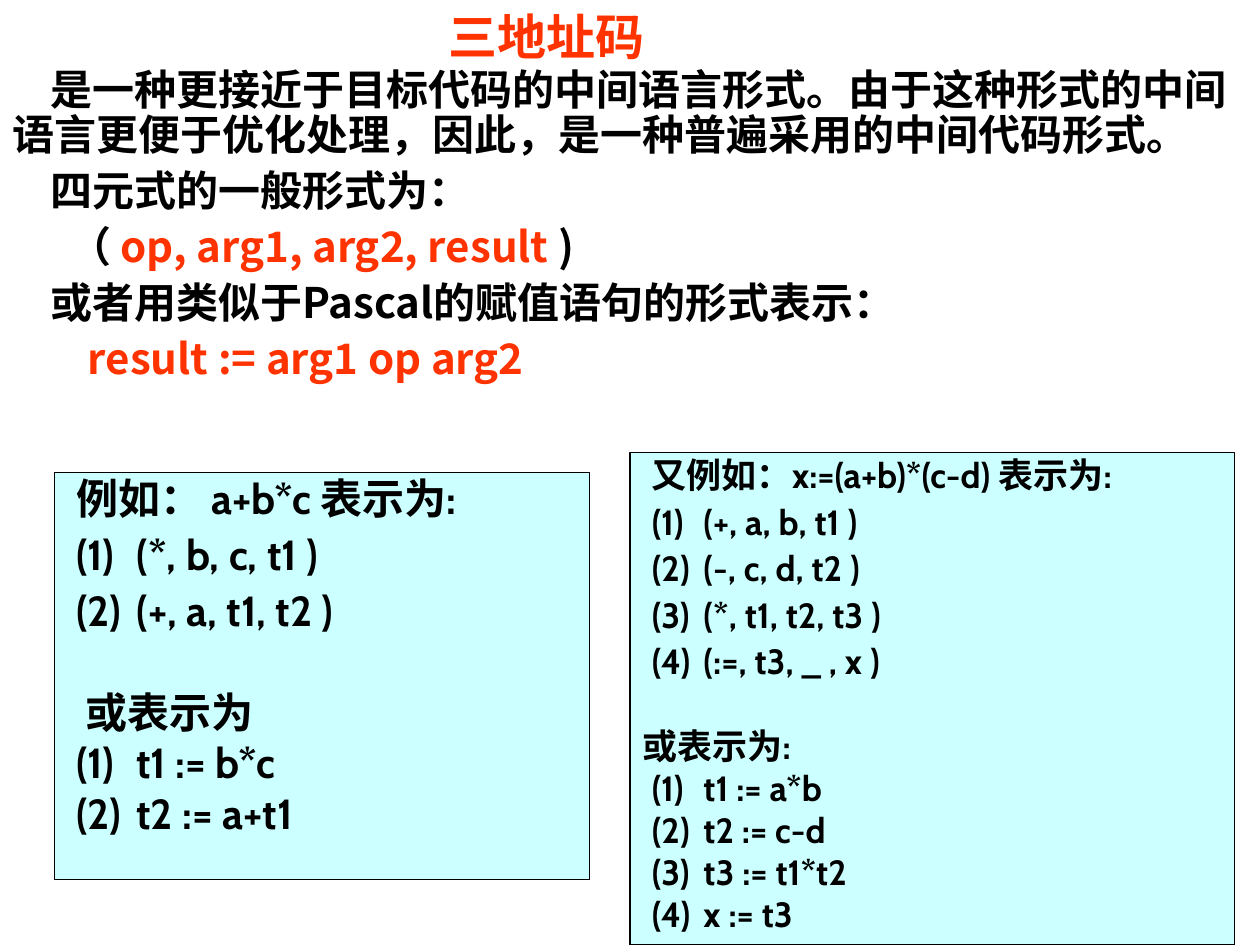
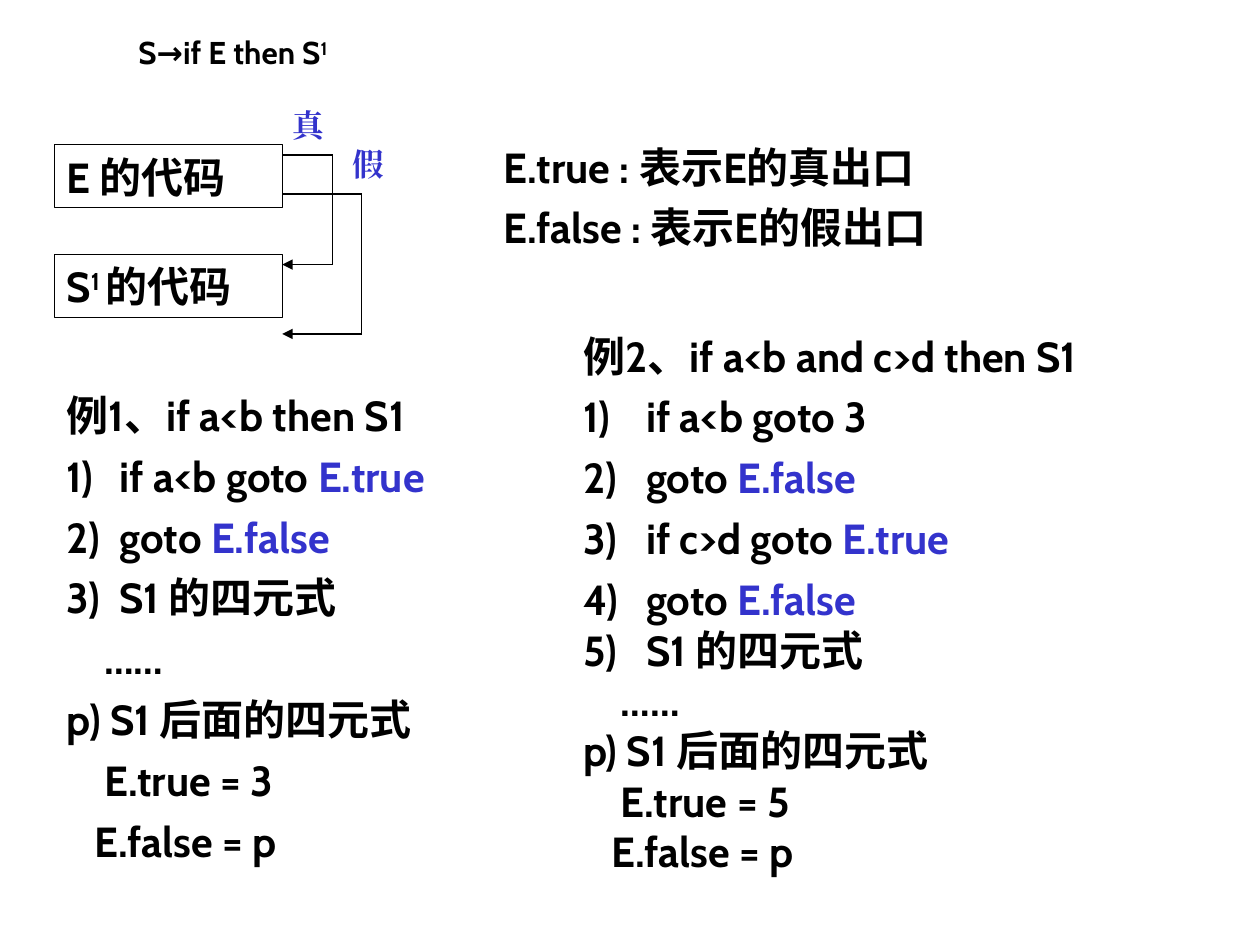
import dataclasses

import pptx
import pptx.dml.color
import pptx.enum.shapes
import pptx.enum.text
import pptx.oxml.ns
import pptx.util
from lxml import etree
from pptx.util import Inches, Pt

ALIGN = pptx.enum.text.PP_ALIGN
ANCHOR = pptx.enum.text.MSO_ANCHOR
SHAPES = pptx.enum.shapes.MSO_SHAPE
qn = pptx.oxml.ns.qn


@dataclasses.dataclass(frozen=True)
class Theme:
    ink: str = "000000"
    red: str = "FF3300"
    blue: str = "3333CC"
    panel: str = "CCFFFF"
    latin: str = "Cabin"
    chinese: str = "Noto Sans CJK SC"
    label_face: str = "Times New Roman"
    title: int = 28
    body: int = 24
    small: int = 20
    label: int = 18
    line: float = 0.75
    space: float = 0.075  # indent step in inches


THEME = Theme()


@dataclasses.dataclass
class Line:
    """One paragraph; spans are plain strings or (text, format) pairs."""
    spans: list
    left: float = 0
    first: float = 0
    before: float = 0
    spacing: float = 1.0
    number: int = 0
    align: object = ALIGN.LEFT


def color(value):
    return pptx.dml.color.RGBColor.from_string(value)


def write(para, text, *, face=THEME.latin, size=THEME.body, ink=THEME.ink, raised=False):
    """Add one bold span of text to a paragraph."""
    span = para.add_run()
    span.text = text
    span.font.name, span.font.size, span.font.bold = face, Pt(size), True
    span.font.color.rgb = color(ink)
    props = span._r.get_or_add_rPr()
    etree.SubElement(props, qn("a:ea")).set("typeface", face)
    if raised:
        props.set("baseline", "30000")


class Page:
    def __init__(self, deck, theme):
        self.theme = theme
        self.slide = deck.slides.add_slide(deck.slide_layouts[6])

    def fill_frame(self, frame, lines, inset=(0.1, 0.05), anchor=ANCHOR.TOP, wrap=True, **style):
        frame.word_wrap = wrap
        frame.vertical_anchor = anchor
        frame.margin_left = frame.margin_right = Inches(inset[0])
        frame.margin_top = frame.margin_bottom = Inches(inset[1])
        for index, line in enumerate(lines):
            para = frame.add_paragraph() if index else frame.paragraphs[0]
            para.alignment = line.align
            para.line_spacing = line.spacing
            para.space_before = Pt(line.before if index else 0)
            props = para._p.get_or_add_pPr()
            props.set("marL", str(Inches(line.left)))
            props.set("indent", str(Inches(line.first)))
            if line.number:
                bullet = etree.SubElement(props, qn("a:buAutoNum"))
                bullet.set("type", "arabicParenR")
                bullet.set("startAt", str(line.number))
            for span in line.spans:
                text, extra = (span, {}) if isinstance(span, str) else span
                write(para, text, **{**style, **extra})

    def text(self, place, lines, **style):
        box = self.slide.shapes.add_textbox(*map(Inches, place))
        self.fill_frame(box.text_frame, lines, **style)

    def panel(self, place, lines, fill=None, **style):
        box = self.slide.shapes.add_shape(SHAPES.RECTANGLE, *map(Inches, place))
        box.shadow.inherit = False
        if fill:
            box.fill.solid()
            box.fill.fore_color.rgb = color(fill)
        else:
            box.fill.background()
        box.line.color.rgb = color(self.theme.ink)
        box.line.width = Pt(self.theme.line)
        self.fill_frame(box.text_frame, lines, **style)

    def route(self, points):
        """Join the points with lines; the last one ends in an arrowhead."""
        for start, end in zip(points, points[1:]):
            link = self.slide.shapes.add_connector(
                pptx.enum.shapes.MSO_CONNECTOR.STRAIGHT, *map(Inches, start + end))
            link.line.color.rgb = color(self.theme.ink)
            link.line.width = Pt(self.theme.line)
            props = link._element.spPr
            if end == points[-1]:
                etree.SubElement(props.find(qn("a:ln")), qn("a:tailEnd")).set("type", "triangle")
            etree.SubElement(props, qn("a:effectLst"))


def example_lines(heading, quads, second_heading, second_left, codes, before, gap, hang):
    """Quadruples first, then the same steps as assignments."""
    step = THEME.space

    def numbered(items, **layout):
        return [Line([f"({n})\t{item}"], step + hang, -hang, **layout)
                for n, item in enumerate(items, 1)]

    return [Line([heading], step, spacing=0.9),
            *numbered(quads, before=before, spacing=0.9),
            Line([second_heading], second_left, before=gap),
            *numbered(codes)]


def build_address_code(deck):
    page, step = Page(deck, THEME), THEME.space
    red = {"ink": THEME.red}

    # Title and definition
    page.text((0, 0, 8.67, 0.5), [Line(["三地址码"], align=ALIGN.CENTER)],
              face=THEME.chinese, size=THEME.title, ink=THEME.red)
    definition = [
        (4, ["是一种更接近于目标代码的中间语言形式。由于这种形式的中间语言更便于优化处理，"
             "因此，是一种普遍采用的中间代码形式。"]),
        (4, ["四元式的一般形式为："]),
        (6, ["（ ", ("op, arg1, arg2, result", red), " )"]),
        (4, ["或者用类似于Pascal的赋值语句的形式表示："]),
        (8, [("result := arg1 op arg2", red)]),
    ]
    page.text((0, 0.5, 10, 3),
              [Line(spans, first=steps * step, before=6, spacing=0.9)
               for steps, spans in definition],
              face=THEME.chinese)

    # Worked examples
    page.panel((0.43, 3.75, 4.25, 3.23), example_lines(
        "例如： a+b*c 表示为:", ["(*, b, c, t1 )", "(+, a, t1, t2 )"],
        "或表示为", 2 * step, ["t1 := b*c", "t2 := a+t1"],
        before=6, gap=29, hang=0.48), fill=THEME.panel)
    page.panel((5, 3.59, 4.8, 3.91), example_lines(
        "又例如：x:=(a+b)*(c-d) 表示为:",
        ["(+, a, b, t1 )", "(-, c, d, t2 )", "(*, t1, t2, t3 )", "(:=, t3, _ , x )"],
        "或表示为:", 0, ["t1 := a*b", "t2 := c-d", "t3 := t1*t2", "x := t3"],
        before=5, gap=24, hang=0.41), fill=THEME.panel, size=THEME.small)


def build_if_statement(deck):
    page, step = Page(deck, THEME), THEME.space
    blue = {"ink": THEME.blue}
    chinese = {"face": THEME.chinese}
    raised = {"raised": True}
    goto_true, goto_false = ("E.true", blue), ("E.false", blue)

    # Grammar rule
    page.text((0, 0.25, 6.89, 0.47),
              [Line(["S→if E then S", ("1", raised)], left=1, spacing=0.9)], size=THEME.label)

    # Code blocks and jumps
    blocks = [(1.15, ["E ", ("的代码", chinese)]),
              (2.02, ["S", ("1 ", raised), ("的代码", chinese)])]
    for top, spans in blocks:
        page.panel((0.43, top, 1.81, 0.5), [Line(spans)], anchor=ANCHOR.MIDDLE)
    edge = 2.24
    for turn, start, end in [(2.64, 1.23, 2.1), (2.87, 1.54, 2.65)]:
        page.route([(edge, start), (turn, start), (turn, end), (edge, end)])
    for label, left, top in [("真", 2.32, 0.84), ("假", 2.8, 1.15)]:
        page.text((left, top, 0.25, 0.3), [Line([label])], inset=(0, 0), wrap=False,
                  face=THEME.label_face, size=THEME.label, ink=THEME.blue)

    # Meaning of the exits
    page.text((3.9, 1.07, 4.1, 0.99),
              [Line(["E.true : 表示E的真出口"]), Line(["E.false : 表示E的假出口"], before=6)])

    # Examples: heading, numbered code, closing lines
    def example(place, heading, codes, true_exit, hang, spaced):
        lines = [Line([heading])]
        lines += [Line(spans, hang, -hang, number=n) for n, spans in enumerate(codes, 1)]
        lines += [Line([text], left=steps * step) for steps, text in [
            (4, "……"), (0, "p) S1 后面的四元式"),
            (4, f"E.true = {true_exit}"), (3, "E.false = p")]]
        for line in lines[:spaced]:
            line.before = 6
        page.text(place, lines)

    example((0.43, 3.04, 4.17, 4.37), "例1、if a<b then S1",
            [["if a<b goto ", goto_true], ["goto ", goto_false], ["S1 的四元式"]],
            true_exit=3, hang=0.42, spaced=8)
    example((4.53, 2.57, 5.2, 4.92), "例2、if a<b and c>d then S1",
            [["if a<b goto 3"], ["goto ", goto_false], ["if c>d goto ", goto_true],
             ["goto ", goto_false], ["S1 的四元式"]],
            true_exit=5, hang=0.5, spaced=5)


def main():
    deck = pptx.Presentation()
    deck.slide_width, deck.slide_height = Inches(10), Inches(7.5)
    build_address_code(deck)
    build_if_statement(deck)
    deck.save("out.pptx")


if __name__ == "__main__":
    main()
